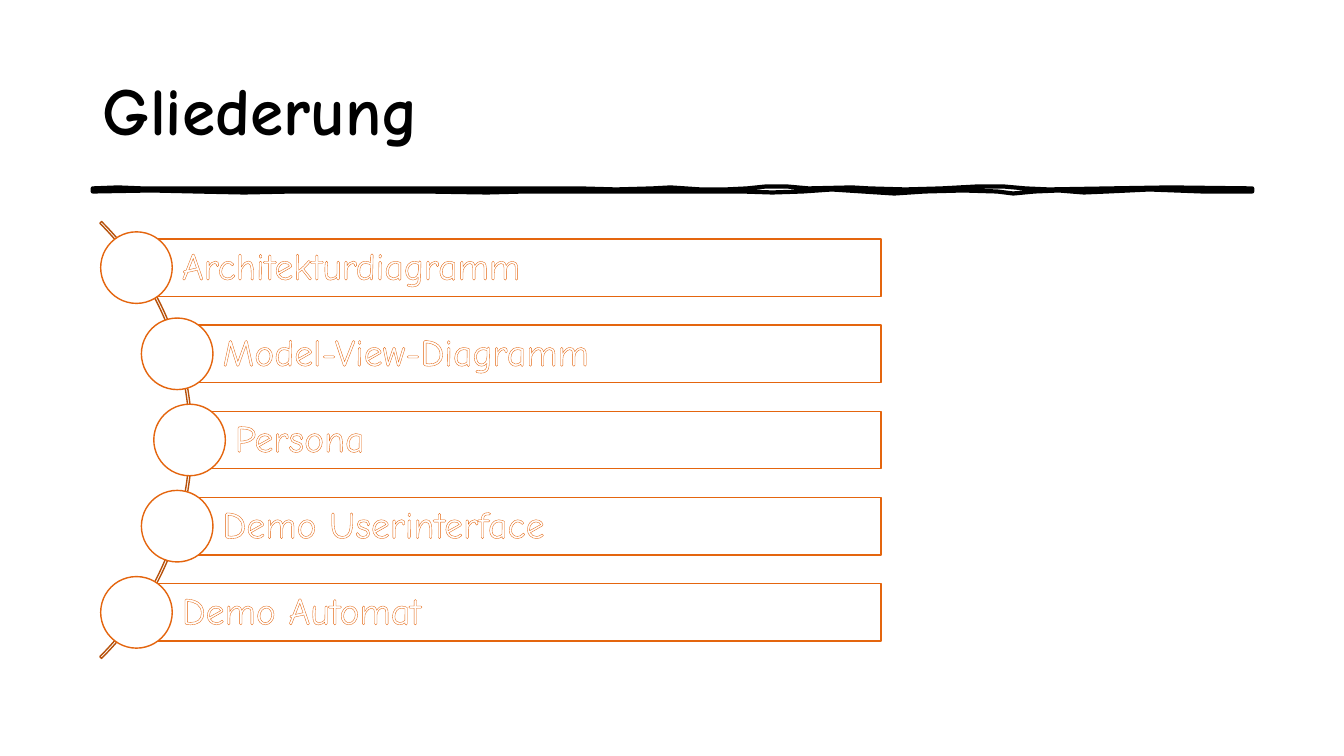
from math import sqrt

from pptx import Presentation, util as u
from pptx.dml.color import RGBColor
from pptx.enum import shapes, text
from pptx.oxml import parse_xml
from pptx.oxml.ns import nsdecls

THEME = {
    "font": "Comic Neue",
    "black": "000000", "white": "FFFFFF", "orange": "E4650E", "rust": "B7510B",
    "title_size": 48, "item_size": 27,
}

prs = Presentation()
prs.slide_width, prs.slide_height = u.Inches(13.33), u.Inches(7.5)
slide = prs.slides.add_slide(prs.slide_layouts[6])


def paint(part, line, width, fill=None):
    part.shadow.inherit = False
    part.line.color.rgb = RGBColor.from_string(THEME[line])
    part.line.width = u.Pt(width)
    if fill:
        part.fill.solid()
        part.fill.fore_color.rgb = RGBColor.from_string(THEME[fill])
    else:
        part.fill.background()


def write(part, wording, size, color, bold=False, **margins):
    frame = part.text_frame
    frame_format = {"word_wrap": True, "vertical_anchor": text.MSO_ANCHOR.MIDDLE}
    for name, value in (frame_format | margins).items():
        setattr(frame, name, value)
    paragraph = frame.paragraphs[0]
    paragraph.alignment = text.PP_ALIGN.LEFT
    paragraph.line_spacing = 0.9
    run = paragraph.add_run()
    run.text = wording
    run_format = {"name": THEME["font"], "size": u.Pt(THEME[size]), "bold": bold}
    for name, value in run_format.items():
        setattr(run.font, name, value)
    run.font.color.rgb = RGBColor.from_string(THEME[color])
    return run


# Hand-drawn rule under the title: upper edge rightwards, lower edge back
upper_edge = [
    (0.92, 1.87), (1.17, 1.86), (1.41, 1.87), (2.12, 1.87), (2.96, 1.87),
    (3.52, 1.87), (4.05, 1.87), (5.0, 1.87), (5.37, 1.87), (5.75, 1.87),
    (6.11, 1.88), (6.47, 1.87), (6.65, 1.86), (6.95, 1.88), (7.2, 1.88),
    (7.41, 1.87), (7.6, 1.85), (7.8, 1.85), (8.02, 1.87), (8.45, 1.86),
    (8.62, 1.87), (8.98, 1.88), (9.34, 1.87), (9.7, 1.85), (9.95, 1.85),
    (10.17, 1.87), (10.4, 1.88), (11.01, 1.87), (11.6, 1.86), (12.42, 1.87),
]
lower_edge = [
    (12.42, 1.9), (11.93, 1.9), (11.4, 1.88), (10.98, 1.9), (10.75, 1.91),
    (10.5, 1.89), (10.26, 1.9), (10.05, 1.92), (9.89, 1.9), (9.55, 1.89),
    (9.17, 1.9), (8.87, 1.92), (8.56, 1.9), (8.25, 1.88), (7.96, 1.9),
    (7.66, 1.91), (7.36, 1.9), (6.75, 1.9), (5.92, 1.9), (5.2, 1.9),
    (4.83, 1.91), (4.22, 1.9), (3.39, 1.9), (2.9, 1.9), (2.42, 1.91),
    (1.95, 1.9), (1.5, 1.89), (0.92, 1.9),
]
outline = [(u.Inches(x), u.Inches(y)) for x, y in upper_edge + lower_edge]
pen = slide.shapes.build_freeform(*outline[0])
pen.add_line_segments(outline[1:], close=True)
paint(pen.convert_to_shape(), "black", 3)

# Title
title = slide.shapes.add_textbox(*map(u.Inches, (0.92, 0.4, 11.5, 1.45)))
write(title, "Gliederung", "title_size", "black", bold=True)

# Arc that the agenda circles sit on
arc_x, arc_y, arc_size = -1.16, 4.365, 6.13
arc = slide.shapes.add_shape(
    shapes.MSO_SHAPE.BLOCK_ARC,
    *map(u.Inches, (arc_x - arc_size / 2, arc_y - arc_size / 2, arc_size, arc_size)))
for index, value in enumerate((189, 27, 0.004)):
    arc.adjustments[index] = value
paint(arc, "rust", 1)

# Agenda: each bar starts at the centre of its circle and ends at one right edge
agenda = ["Architekturdiagramm", "Model-View-Diagramm", "Persona",
          "Demo Userinterface", "Demo Automat"]
pitch, bar_height, circle_size = 0.855, 0.57, 0.71
bar_right, orbit = 8.74, 3.04
for row, topic in enumerate(agenda):
    offset = (row - (len(agenda) - 1) / 2) * pitch
    center_x, center_y = arc_x + sqrt(orbit ** 2 - offset ** 2), arc_y + offset

    bar = slide.shapes.add_shape(
        shapes.MSO_SHAPE.RECTANGLE,
        *map(u.Inches, (center_x, center_y - bar_height / 2,
                        bar_right - center_x, bar_height)))
    paint(bar, "orange", 1)
    label = write(bar, topic, "item_size", "white",
                  margin_left=u.Inches(0.45), margin_right=u.Inches(0.07),
                  margin_top=u.Inches(0.07), margin_bottom=u.Inches(0.07))
    # Outlined letters
    label.font._element.insert(0, parse_xml(
        f'<a:ln {nsdecls("a")} w="{u.Pt(0.75)}"><a:solidFill>'
        f'<a:srgbClr val="{THEME["orange"]}"/></a:solidFill></a:ln>'))

    circle = slide.shapes.add_shape(
        shapes.MSO_SHAPE.OVAL,
        *map(u.Inches, (center_x - circle_size / 2, center_y - circle_size / 2,
                        circle_size, circle_size)))
    paint(circle, "orange", 1, fill="white")

prs.save("out.pptx")
